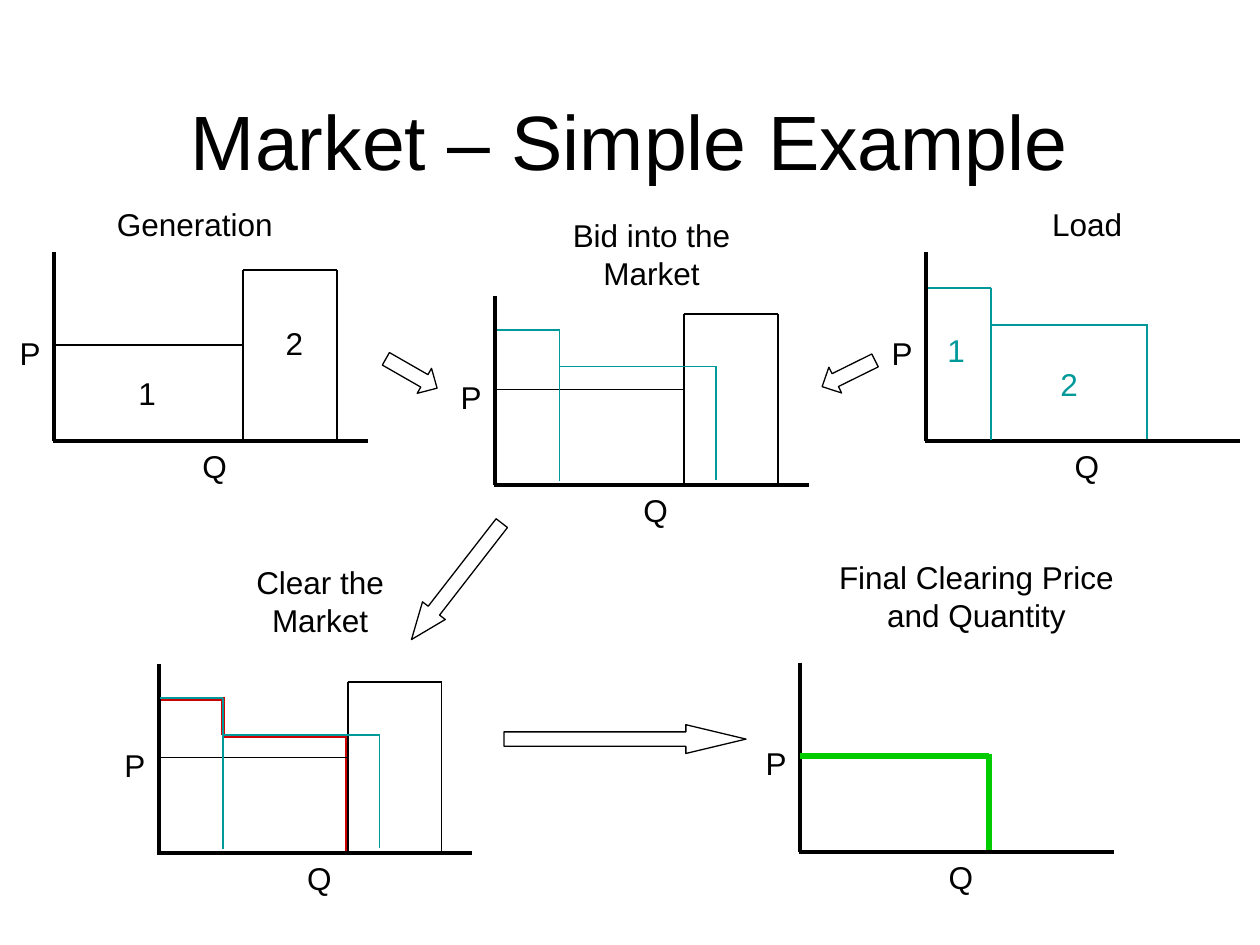
import pptx
import pptx.util
import pptx.dml.color
import pptx.enum.shapes
import pptx.enum.text
import pptx.oxml.ns
from lxml import etree

Cm = pptx.util.Cm
Pt = pptx.util.Pt
ALIGN = pptx.enum.text.PP_ALIGN

COLORS = {
    "ink": "000000",
    "demand": "009999",
    "cleared": "CC0000",
    "final": "00CC00",
}


def rgb(name):
    return pptx.dml.color.RGBColor.from_string(COLORS[name])


def add_text(parent, text, left, top, width, height=1.02, size=18,
             color="ink", align=ALIGN.LEFT,
             anchor=pptx.enum.text.MSO_ANCHOR.TOP):
    box = parent.shapes.add_textbox(Cm(left), Cm(top), Cm(width), Cm(height))
    frame = box.text_frame
    frame.word_wrap = True
    frame.vertical_anchor = anchor
    paragraph = frame.paragraphs[0]
    paragraph.alignment = align
    run = paragraph.add_run()
    run.text = text
    run.font.name = "Arial"
    run.font.size = Pt(size)
    run.font.color.rgb = rgb(color)


def add_line(parent, start, end, color="ink", weight=1):
    line = parent.shapes.add_connector(
        pptx.enum.shapes.MSO_CONNECTOR.STRAIGHT,
        Cm(start[0]), Cm(start[1]), Cm(end[0]), Cm(end[1]))
    line.line.color.rgb = rgb(color)
    line.line.width = Pt(weight)
    properties = line._element.spPr
    etree.SubElement(properties, pptx.oxml.ns.qn("a:effectLst"))


def add_curve(parent, origin, segments, color="ink", weight=1):
    """Draw segments given as (x1, height1, x2, height2) above the origin."""
    x, y = origin
    for x1, height1, x2, height2 in segments:
        add_line(parent, (x + x1, y - height1), (x + x2, y - height2), color, weight)


def add_arrow(parent, left, top, width, rotation, head):
    arrow = parent.shapes.add_shape(
        pptx.enum.shapes.MSO_SHAPE.RIGHT_ARROW,
        Cm(left), Cm(top), Cm(width), Cm(0.58))
    arrow.adjustments[0] = 0.5
    arrow.adjustments[1] = head
    arrow.rotation = rotation
    arrow.shadow.inherit = False
    arrow.fill.background()
    arrow.line.color.rgb = rgb("ink")
    arrow.line.width = Pt(0.75)


def add_axes(parent, origin):
    x, y = origin
    add_curve(parent, origin, [(0, 3.81, 0, 0), (-0.03, 0, 6.32, 0)], weight=2.25)
    add_text(parent, "P", x - 1.09, y - 2.29, 1.07, align=ALIGN.RIGHT)
    add_text(parent, "Q", x + 2.29, y, 1.9, align=ALIGN.CENTER)


def add_supply(parent, origin):
    add_curve(parent, origin, [
        (0, 1.93, 3.81, 1.93),
        (3.81, 1.93, 3.81, 0.03),
        (3.81, 3.45, 5.71, 3.45),
        (3.81, 3.45, 3.81, 0.03),
        (5.7, 3.45, 5.7, 0.03),
    ])


def add_demand(parent, origin):
    add_curve(parent, origin, [
        (1.3, 2.39, 4.47, 2.39),
        (0.03, 3.13, 1.3, 3.13),
        (4.45, 2.39, 4.45, 0.1),
        (1.3, 3.13, 1.3, 0.08),
    ], "demand")


def main():
    deck = pptx.Presentation()
    deck.slide_width, deck.slide_height = Cm(25.4), Cm(19.05)
    slide = deck.slides.add_slide(deck.slide_layouts[6])

    add_text(slide, "Market – Simple Example", 1.27, 1.7, 22.86, 2.24, size=44,
             align=ALIGN.CENTER, anchor=pptx.enum.text.MSO_ANCHOR.MIDDLE)

    # Generation offers
    generation = slide.shapes.add_group_shape()
    supply_origin = (1.09, 8.89)
    add_axes(generation, supply_origin)
    add_text(generation, "Generation", 1.98, 4.01, 3.9, align=ALIGN.CENTER)
    add_supply(generation, supply_origin)
    add_text(generation, "1", 2.54, 7.42, 1.07)
    add_text(generation, "2", 5.51, 6.4, 0.84)

    # Load bids
    load = slide.shapes.add_group_shape()
    load_origin = (18.67, 8.89)
    add_axes(load, load_origin)
    add_text(load, "Load", 20.96, 4.01, 2.97)
    add_demand(load, (load_origin[0], load_origin[1] + 0.05))
    add_text(load, "1", 18.85, 6.55, 1.47, color="demand")
    add_text(load, "2", 20.07, 7.24, 2.97, color="demand", align=ALIGN.CENTER)

    # Both sides bid into the market
    bidding = slide.shapes.add_group_shape()
    bid_origin = (9.98, 9.78)
    add_axes(bidding, bid_origin)
    add_supply(bidding, bid_origin)
    add_demand(bidding, bid_origin)
    add_arrow(bidding, 7.7, 7.24, 1.19, 29.8, 0.51)
    add_arrow(bidding, 16.51, 7.24, 1.19, 153.7, 0.51)
    add_text(bidding, "Bid into the Market", 11.23, 4.24, 3.81, 1.78,
             align=ALIGN.CENTER)

    # Final price and quantity
    result = slide.shapes.add_group_shape()
    result_origin = (16.13, 17.17)
    add_axes(result, result_origin)
    add_curve(result, result_origin,
              [(0, 1.93, 3.81, 1.93), (3.81, 1.98, 3.81, 0.03)], "final", 3)
    add_text(result, "Final Clearing Price and Quantity", 16.51, 11.13, 6.35, 1.78,
             align=ALIGN.CENTER)
    add_arrow(result, 10.16, 14.61, 4.88, 0, 2.09)

    # Clearing the market, with the cleared demand beneath the curves
    clearing = slide.shapes.add_group_shape()
    clear_origin = (3.2, 17.2)
    add_curve(clearing, clear_origin, [
        (0.03, 3.11, 1.3, 3.11),
        (1.3, 2.36, 3.84, 2.36),
        (1.3, 3.15, 1.3, 2.39),
        (3.8, 2.36, 3.8, 0.05),
    ], "cleared", 2.25)
    add_axes(clearing, clear_origin)
    add_supply(clearing, clear_origin)
    add_demand(clearing, clear_origin)
    add_text(clearing, "Clear the Market", 4.45, 11.23, 4.01, 1.78,
             align=ALIGN.CENTER)
    add_arrow(clearing, 7.72, 11.43, 2.97, 127.8, 1.27)

    deck.save("out.pptx")


if __name__ == "__main__":
    main()
